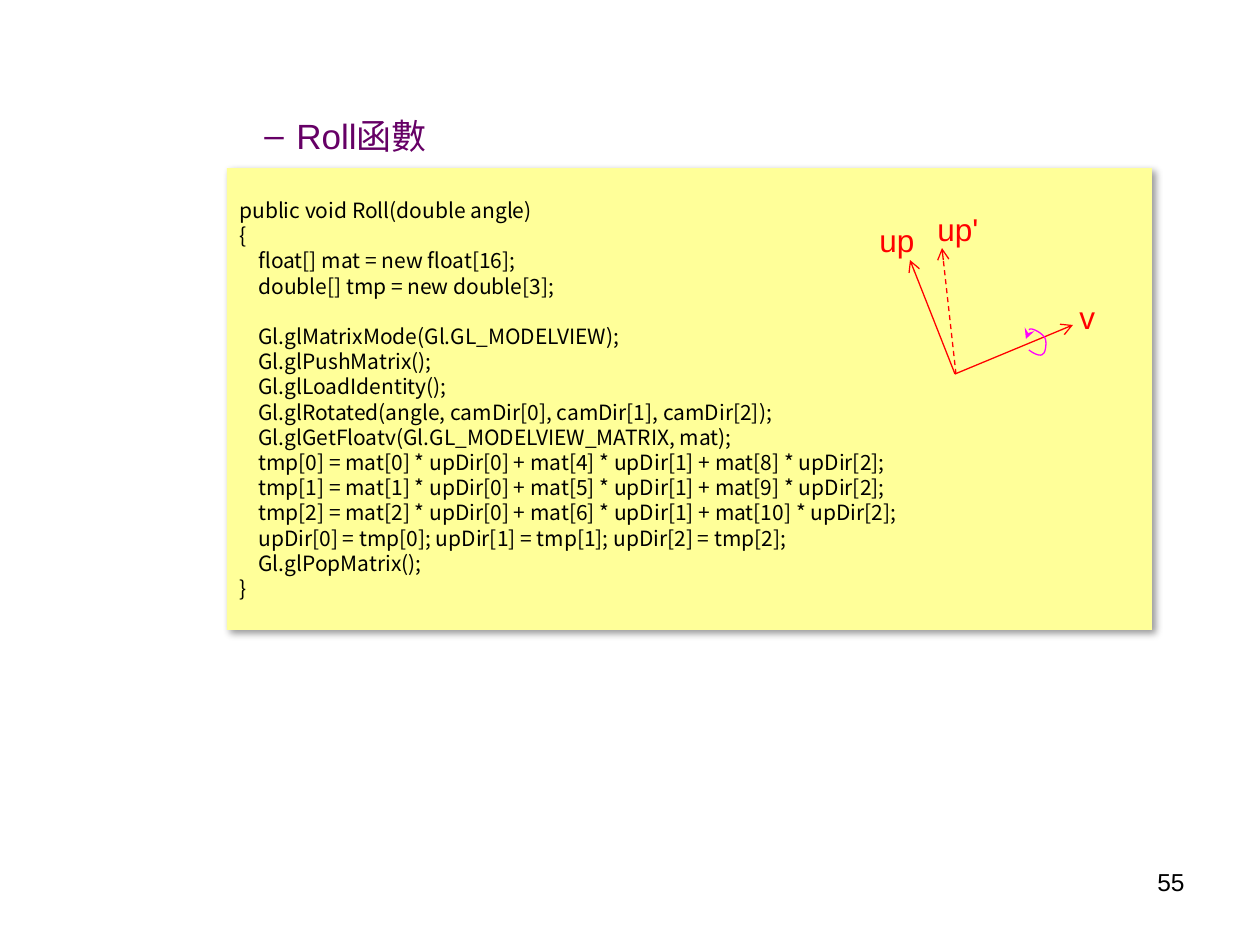
"""Builds the slide about the camera Roll function."""
from lxml import etree
from pptx import Presentation
from pptx.dml.color import RGBColor
from pptx.enum.dml import MSO_LINE
from pptx.enum.shapes import MSO_CONNECTOR, MSO_SHAPE
from pptx.enum.text import MSO_ANCHOR, PP_ALIGN
from pptx.oxml.ns import qn
from pptx.util import Pt

RECTANGLE = MSO_SHAPE.RECTANGLE
STRAIGHT = MSO_CONNECTOR.STRAIGHT
DASH = MSO_LINE.DASH
MIDDLE = MSO_ANCHOR.MIDDLE
LEFT, RIGHT = PP_ALIGN.LEFT, PP_ALIGN.RIGHT

EMU_PER_PX = 914400 // 126
COLORS = {"heading": "660066", "text": "000000", "panel": "FFFF99",
          "vector": "FF0000", "turn": "FF00FF"}
CODE_INDENT = 19
CODE_PITCH = 14.4
CODE_BLOCKS = [
    [(0, "public void Roll(double angle)"),
     (0, "{"),
     (1, "float[] mat = new float[16];"),
     (1, "double[] tmp = new double[3];")],
    [(1, "Gl.glMatrixMode(Gl.GL_MODELVIEW);"),
     (1, "Gl.glPushMatrix();"),
     (1, "Gl.glLoadIdentity();"),
     (1, "Gl.glRotated(angle, camDir[0], camDir[1], camDir[2]);"),
     (1, "Gl.glGetFloatv(Gl.GL_MODELVIEW_MATRIX, mat);"),
     (1, "tmp[0] = mat[0] * upDir[0] + mat[4] * upDir[1] + mat[8] * upDir[2];"),
     (1, "tmp[1] = mat[1] * upDir[0] + mat[5] * upDir[1] + mat[9] * upDir[2];"),
     (1, "tmp[2] = mat[2] * upDir[0] + mat[6] * upDir[1] + mat[10] * upDir[2];"),
     (1, "upDir[0] = tmp[0]; upDir[1] = tmp[1]; upDir[2] = tmp[2];"),
     (1, "Gl.glPopMatrix();"),
     (0, "}")],
]
VECTORS = [((955, 374), (1073, 325), False),
           ((955, 374), (910, 260), False),
           ((956, 374), (942, 248), True)]
LABELS = [("up", 867, 215, 79), ("up'", 925, 204, 79), ("v", 1067, 292, 49)]
TURN_START = (1029, 350)
TURN_CURVES = [((1034, 354), (1041, 357), (1043, 354)),
               ((1046, 353), (1047, 341), (1045, 338)),
               ((1042, 333), (1034, 329), (1031, 329)),
               ((1028, 329), (1027, 334), (1026, 339))]


def emu(pixels):
    return round(pixels * EMU_PER_PX)


def color(name):
    return RGBColor.from_string(COLORS[name])


def curve_points(start, curves, steps=8):
    """Return points along a chain of cubic curves."""
    points = [start]
    for first, second, end in curves:
        for step in range(1, steps + 1):
            t = step / steps
            weights = ((1 - t) ** 3, 3 * t * (1 - t) ** 2, 3 * t * t * (1 - t), t ** 3)
            corners = (start, first, second, end)
            points.append(tuple(sum(weight * corner[axis] for weight, corner
                                    in zip(weights, corners)) for axis in (0, 1)))
        start = end
    return points


class SlideBuilder:
    """Holds the slide and its style."""

    def __init__(self, slide, font="Arial", code_font="Noto Sans CJK KR"):
        self.slide = slide
        self.font = font
        self.code_font = code_font

    def format(self, paragraph, size, color_name, font, align=LEFT):
        paragraph.alignment = align
        for run in paragraph.runs:
            run.font.size = Pt(size)
            run.font.name = font
            run.font.color.rgb = color(color_name)

    def text(self, text, left, top, width, height, size, color_name, align=LEFT):
        box = self.slide.shapes.add_textbox(*map(emu, (left, top, width, height)))
        box.text_frame.word_wrap = True
        paragraph = box.text_frame.paragraphs[0]
        paragraph.text = text
        self.format(paragraph, size, color_name, self.font, align)
        return paragraph

    def bullet(self, text, left, top, width, height, indent, hanging):
        paragraph = self.text(text, left, top, width, height, 20, "heading")
        paragraph.space_before = Pt(4)
        properties = paragraph._p.get_or_add_pPr()
        properties.set("marL", str(emu(indent)))
        properties.set("indent", str(-emu(hanging)))
        etree.SubElement(properties, qn("a:buFont"), typeface=self.font)
        etree.SubElement(properties, qn("a:buChar"), char="–")

    def code_panel(self, blocks, left, top, width, height):
        panel = self.slide.shapes.add_shape(RECTANGLE, *map(emu, (left, top, width, height)))
        panel.fill.solid()
        panel.fill.fore_color.rgb = color("panel")
        panel.line.fill.background()
        self.shadow(panel)
        frame = panel.text_frame
        frame.word_wrap = True
        frame.vertical_anchor = MIDDLE
        lines = [line for block in blocks for line in block]
        frame.text = "\n".join(text for _, text in lines)
        for paragraph, (level, _) in zip(frame.paragraphs, lines):
            self.format(paragraph, 12, "text", self.code_font)
            paragraph.line_spacing = Pt(CODE_PITCH)
            paragraph._p.get_or_add_pPr().set("marL", str(emu(level * CODE_INDENT)))
        position = 0
        for block in blocks[:-1]:
            position += len(block)
            frame.paragraphs[position].space_before = Pt(CODE_PITCH)

    def shadow(self, shape):
        shape.shadow.inherit = False
        effects = shape._element.spPr.find(qn("a:effectLst"))
        outer = etree.SubElement(effects, qn("a:outerShdw"), blurRad=str(Pt(4)),
                                 dist=str(Pt(3)), dir="2700000", algn="tl", rotWithShape="0")
        tint = etree.SubElement(outer, qn("a:srgbClr"), val=COLORS["text"])
        etree.SubElement(tint, qn("a:alpha"), val="40000")

    def stroke(self, shape, color_name, head, dashed=False):
        shape.line.color.rgb = color(color_name)
        shape.line.width = Pt(0.75)
        if dashed:
            shape.line.dash_style = DASH
        etree.SubElement(shape.line._get_or_add_ln(), qn("a:tailEnd"), type=head)

    def arrow(self, start, end, dashed):
        connector = self.slide.shapes.add_connector(STRAIGHT, *map(emu, start + end))
        self.stroke(connector, "vector", "arrow", dashed)
        etree.SubElement(connector._element.spPr, qn("a:effectLst"))

    def turn(self, start, curves):
        points = [tuple(map(emu, point)) for point in curve_points(start, curves)]
        builder = self.slide.shapes.build_freeform(*points[0])
        builder.add_line_segments(points[1:], close=False)
        shape = builder.convert_to_shape()
        shape.fill.background()
        shape.shadow.inherit = False
        self.stroke(shape, "turn", "stealth")


def main():
    presentation = Presentation()
    presentation.slide_width = emu(1260)
    presentation.slide_height = emu(945)
    builder = SlideBuilder(presentation.slides.add_slide(presentation.slide_layouts[6]))
    builder.bullet("Roll函數", 64, 108, 1134, 740, 220, 32)
    builder.text("55", 903, 861, 294, 66, 14, "text", RIGHT)
    builder.code_panel(CODE_BLOCKS, 227, 168, 925, 462)
    for start, end, dashed in VECTORS:
        builder.arrow(start, end, dashed)
    for text, left, top, width in LABELS:
        builder.text(text, left, top, width, 50, 18, "vector")
    builder.turn(TURN_START, TURN_CURVES)
    presentation.save("out.pptx")


if __name__ == "__main__":
    main()
